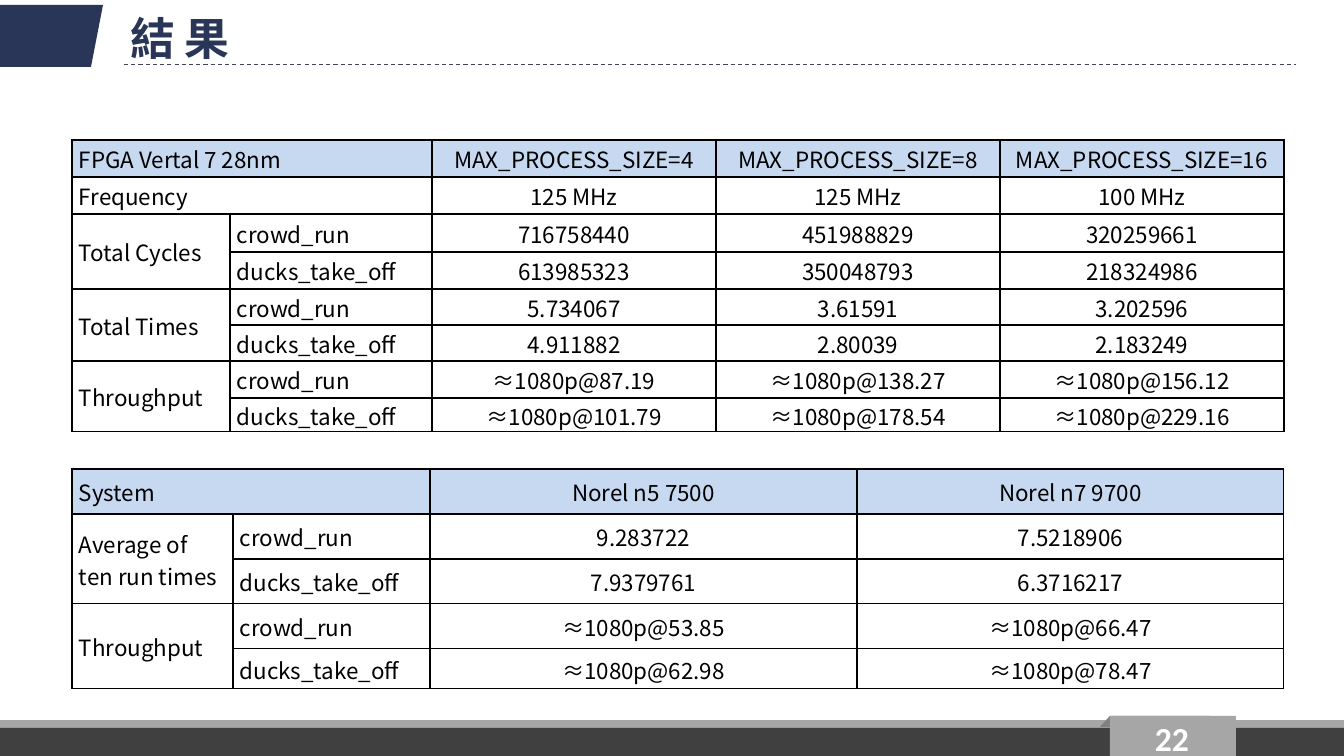
"""Build the results slide with FPGA and processor benchmark tables."""
from lxml import etree
from pptx import Presentation
from pptx.dml.color import RGBColor
from pptx.enum.dml import MSO_LINE
from pptx.enum.shapes import MSO_CONNECTOR, MSO_SHAPE
from pptx.enum.text import MSO_ANCHOR, PP_ALIGN
from pptx.oxml import parse_xml
from pptx.oxml.ns import nsdecls, qn
from pptx.util import Pt

RECTANGLE = MSO_SHAPE.RECTANGLE
STRAIGHT = MSO_CONNECTOR.STRAIGHT
DASH = MSO_LINE.DASH
MIDDLE = MSO_ANCHOR.MIDDLE
LEFT, CENTER = PP_ALIGN.LEFT, PP_ALIGN.CENTER
PX = 914400 / 100.8

THEME = {
    "navy": "2A3657", "rule": "414455", "header": "C6D9F1", "ink": "000000",
    "white": "FFFFFF", "band": "A6A6A6", "footer": "404040", "fold": "808080",
    "cjk": "Noto Sans CJK SC", "latin": "Calibri",
    "title_size": 32, "page_size": 24, "table_size": 16,
}


def px(*lengths):
    """Turn px lengths into EMU."""
    return [round(length * PX) for length in lengths]


def write(frame, text, align, font, size, color, bold=False):
    """Write one formatted paragraph, middle-anchored, and return its span."""
    frame.word_wrap = True
    frame.vertical_anchor = MIDDLE
    para = frame.paragraphs[0]
    para.alignment = align
    span = para.add_run()
    span.text = text
    for name, value in {"name": font, "size": Pt(size), "bold": bold}.items():
        setattr(span.font, name, value)
    span.font.color.rgb = RGBColor.from_string(color)
    east_asian = etree.SubElement(span.font._element, qn("a:ea"))
    east_asian.set("typeface", font)
    return span


deck = Presentation()
deck.slide_width, deck.slide_height = px(1344, 756)
page = deck.slides.add_slide(deck.slide_layouts[6])
shapes = page.shapes

solids = []
for box, color in [
    ((0, 720, 1344, 36), "band"),
    ((0, 728, 1344, 28), "footer"),
    ((1110, 716, 126, 40), "band"),
]:
    solids.append((shapes.add_shape(RECTANGLE, *px(*box)), color))
for points, color in [
    ([(0, 5), (103, 5), (91, 67), (0, 67)], "navy"),
    ([(1110, 716), (1211, 716), (1212, 728), (1100, 727)], "fold"),
]:
    builder = shapes.build_freeform(*points[0], scale=PX)
    builder.add_line_segments(points[1:], close=True)
    solids.append((builder.convert_to_shape(), color))
tab = solids[2][0]
solids[-1][0]._element.addnext(tab._element)
for shape, color in solids:
    shape.shadow.inherit = False
    shape.fill.solid()
    shape.fill.fore_color.rgb = RGBColor.from_string(THEME[color])
    shape.line.fill.background()

title_rule = shapes.add_connector(STRAIGHT, *px(124, 65, 1296, 65))
title_rule.line.color.rgb = RGBColor.from_string(THEME["rule"])
title_rule.line.width = Pt(0.75)
title_rule.line.dash_style = DASH
etree.SubElement(title_rule._element.spPr, qn("a:effectLst"))

spans = {}
for text, box, align, font, size, color in [
    ("22", (1136, 720, 72, 36), CENTER, "latin", "page_size", "white"),
    ("結果", (124, 7, 588, 61), LEFT, "cjk", "title_size", "navy"),
]:
    frame = shapes.add_textbox(*px(*box)).text_frame
    frame.margin_left, frame.margin_right = px(7, 7)
    frame.margin_top = frame.margin_bottom = 0
    spans[text] = write(frame, text, align, THEME[font], THEME[size], THEME[color], True)
spans["結果"].font._element.set("spc", "600")

RUNS = ["crowd_run", "ducks_take_off"]
TABLES = [
    {
        "top": 140,
        "columns": [158, 202, 284, 284, 284],
        "rows": [37, 37, 38, 37, 36, 36, 37, 34],
        "wide": [
            ["FPGA Vertal 7 28nm"] + [f"MAX_PROCESS_SIZE={size}" for size in (4, 8, 16)],
            ["Frequency", "125 MHz", "125 MHz", "100 MHz"],
        ],
        "groups": {
            "Total Cycles": [
                ["716758440", "451988829", "320259661"],
                ["613985323", "350048793", "218324986"],
            ],
            "Total Times": [
                ["5.734067", "3.61591", "3.202596"],
                ["4.911882", "2.80039", "2.183249"],
            ],
            "Throughput": [
                ["≈1080p@87.19", "≈1080p@138.27", "≈1080p@156.12"],
                ["≈1080p@101.79", "≈1080p@178.54", "≈1080p@229.16"],
            ],
        },
    },
    {
        "top": 469,
        "columns": [161, 197, 427, 427],
        "rows": [45, 45, 45, 45, 40],
        "wide": [["System", "Norel n5 7500", "Norel n7 9700"]],
        "groups": {
            "Average of ten run times": [
                ["9.283722", "7.5218906"],
                ["7.9379761", "6.3716217"],
            ],
            "Throughput": [
                ["≈1080p@53.85", "≈1080p@66.47"],
                ["≈1080p@62.98", "≈1080p@78.47"],
            ],
        },
    },
]

for results in TABLES:
    columns, rows = results["columns"], results["rows"]
    grid = [[label, "", *values] for label, *values in results["wide"]]
    for label, measures in results["groups"].items():
        for heading, run_name, values in zip((label, ""), RUNS, measures):
            grid.append([heading, run_name, *values])

    box = px(72, results["top"], sum(columns), sum(rows))
    table = shapes.add_table(len(rows), len(columns), *box).table
    table.first_row = table.horz_banding = False
    for column, width in zip(table.columns, px(*columns)):
        column.width = width
    for row, height in zip(table.rows, px(*rows)):
        row.height = height

    wide_count = len(results["wide"])
    for index in range(wide_count):
        table.cell(index, 0).merge(table.cell(index, 1))
    for index in range(wide_count, len(rows), 2):
        table.cell(index, 0).merge(table.cell(index + 1, 0))

    for row_index, texts in enumerate(grid):
        for column_index, text in enumerate(texts):
            cell = table.cell(row_index, column_index)
            margins = dict(zip(("left", "right", "top", "bottom"), px(7, 7, 1, 0)))
            for side, value in margins.items():
                setattr(cell, f"margin_{side}", value)
            cell.vertical_anchor = MIDDLE
            properties = cell._tc.get_or_add_tcPr()
            for side in "LRTB":
                properties.append(parse_xml(
                    f'<a:ln{side} {nsdecls("a")} w="12700"><a:solidFill>'
                    f'<a:srgbClr val="{THEME["ink"]}"/></a:solidFill></a:ln{side}>'))
            if row_index == 0:
                cell.fill.solid()
                cell.fill.fore_color.rgb = RGBColor.from_string(THEME["header"])
            else:
                cell.fill.background()
            if text:
                align = LEFT if column_index < 2 else CENTER
                write(cell.text_frame, text, align, THEME["cjk"],
                      THEME["table_size"], THEME["ink"])

deck.save("out.pptx")
